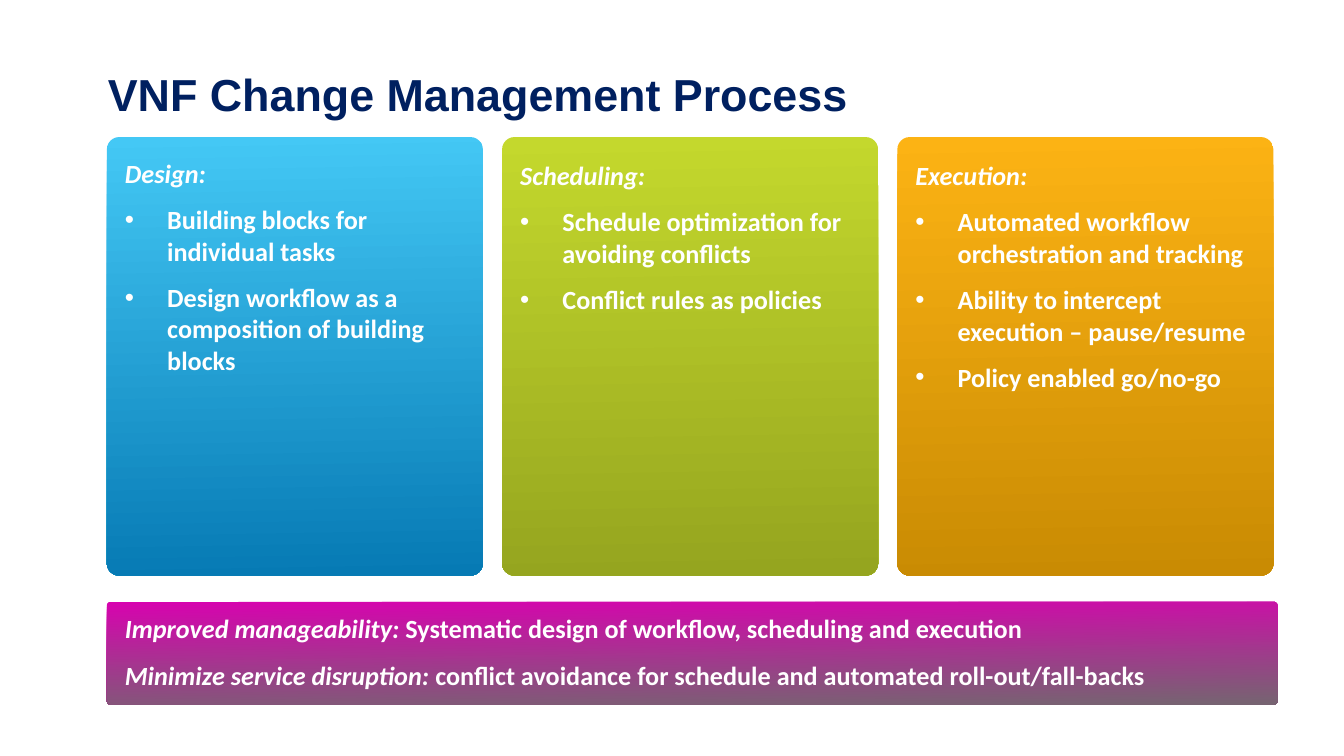
from pptx import Presentation
from pptx import util as u
from pptx.dml import color
from pptx.enum import shapes, text
from pptx.oxml import xmlchemy

PX = 9144  # EMU per px, 100 px to the inch
TEXT_INSET = 8
COLUMN_STEP = 392
HANGING_INDENT = 42

COLUMNS = [
    ("Design:", ["Building blocks for individual tasks",
                 "Design workflow as a composition of building blocks"],
     ("44C8F5", "067AB4"), 15),
    ("Scheduling:", ["Schedule optimization for avoiding conflicts",
                     "Conflict rules as policies"],
     ("C4D82D", "95A51F"), 17),
    ("Execution:", ["Automated workflow orchestration and tracking",
                    "Ability to intercept execution – pause/resume",
                    "Policy enabled go/no-go"],
     ("FCB314", "C98B03"), 17),
]
BENEFITS = [
    ("Improved manageability: ",
     "Systematic design of workflow, scheduling and execution"),
    ("Minimize service disruption:",
     " conflict avoidance for schedule and automated roll-out/fall-backs"),
]


def px(*lengths):
    return [u.Emu(length * PX) for length in lengths]


def rgb(value):
    return color.RGBColor.from_string(value)


def set_all(target, **values):
    for name, value in values.items():
        setattr(target, name, value)


def add_span(para, words, italic=False):
    span = para.add_run()
    span.text = words
    set_all(span.font, name="Calibri", size=u.Pt(18.7), bold=True, italic=italic)
    span.font.color.rgb = rgb("FFFFFF")


def add_bullet(para):
    properties = para._p.get_or_add_pPr()
    indent = HANGING_INDENT * PX
    properties.set("marL", str(indent))
    properties.set("indent", str(-indent))
    for tag, name, value in (("a:buFont", "typeface", "Arial"),
                             ("a:buChar", "char", "•")):
        element = xmlchemy.OxmlElement(tag)
        element.set(name, value)
        properties.append(element)


def add_panel(page, box, gradient):
    panel = page.shapes.add_shape(shapes.MSO_SHAPE.ROUNDED_RECTANGLE, *px(*box))
    panel.adjustments[0] = 0.033
    panel.shadow.inherit = False
    panel.line.fill.background()
    panel.fill.gradient()
    panel.fill.gradient_angle = 271
    for stop, value in zip(panel.fill.gradient_stops, gradient):
        stop.color.rgb = rgb(value)


def add_text(page, box, paragraphs):
    """Each paragraph is (bulleted, [(words, italic), ...])."""
    frame = page.shapes.add_textbox(*px(*box)).text_frame
    frame.word_wrap = True
    for index, (bulleted, spans) in enumerate(paragraphs):
        para = frame.add_paragraph() if index else frame.paragraphs[0]
        para.space_after = u.Pt(10.7)
        if bulleted:
            add_bullet(para)
        for words, italic in spans:
            add_span(para, words, italic)


def add_title(page, box, words):
    title = page.shapes.title
    left, top, width, height = px(*box)
    set_all(title, left=left, top=top, width=width, height=height)
    frame = title.text_frame
    inset = px(5)[0]
    set_all(frame, word_wrap=True, vertical_anchor=text.MSO_ANCHOR.MIDDLE,
            margin_left=inset, margin_right=inset,
            margin_top=inset, margin_bottom=inset)
    para = frame.paragraphs[0]
    para.alignment = text.PP_ALIGN.LEFT
    span = para.add_run()
    span.text = words
    set_all(span.font, name="Arial", size=u.Pt(32), bold=True)
    span.font.color.rgb = rgb("002060")


def add_column(page, box, heading, points, gradient, text_drop):
    left, top, width, height = box
    add_panel(page, box, gradient)
    paragraphs = [(False, [(heading, True)])]
    paragraphs += [(True, [(point, False)]) for point in points]
    add_text(page, (left + TEXT_INSET, top + text_drop,
                    width - TEXT_INSET, height - 33), paragraphs)


def add_benefits(page, box):
    left, top, width, height = box
    add_panel(page, box, ("D703AF", "766471"))
    add_text(page, (left + TEXT_INSET, top + 6, width - 11, height - 7),
             [(False, [(lead, True), (rest, False)]) for lead, rest in BENEFITS])


def main():
    deck = Presentation()
    deck.slide_width, deck.slide_height = u.Inches(13.33), u.Inches(7.5)
    page = deck.slides.add_slide(deck.slide_layouts.get_by_name("Title Only"))
    add_title(page, (102, 30, 1164, 125), "VNF Change Management Process")
    for index, column in enumerate(COLUMNS):
        add_column(page, (106 + index * COLUMN_STEP, 136, 373, 435), *column)
    add_benefits(page, (106, 597, 1161, 102))
    deck.save("out.pptx")


if __name__ == "__main__":
    main()
